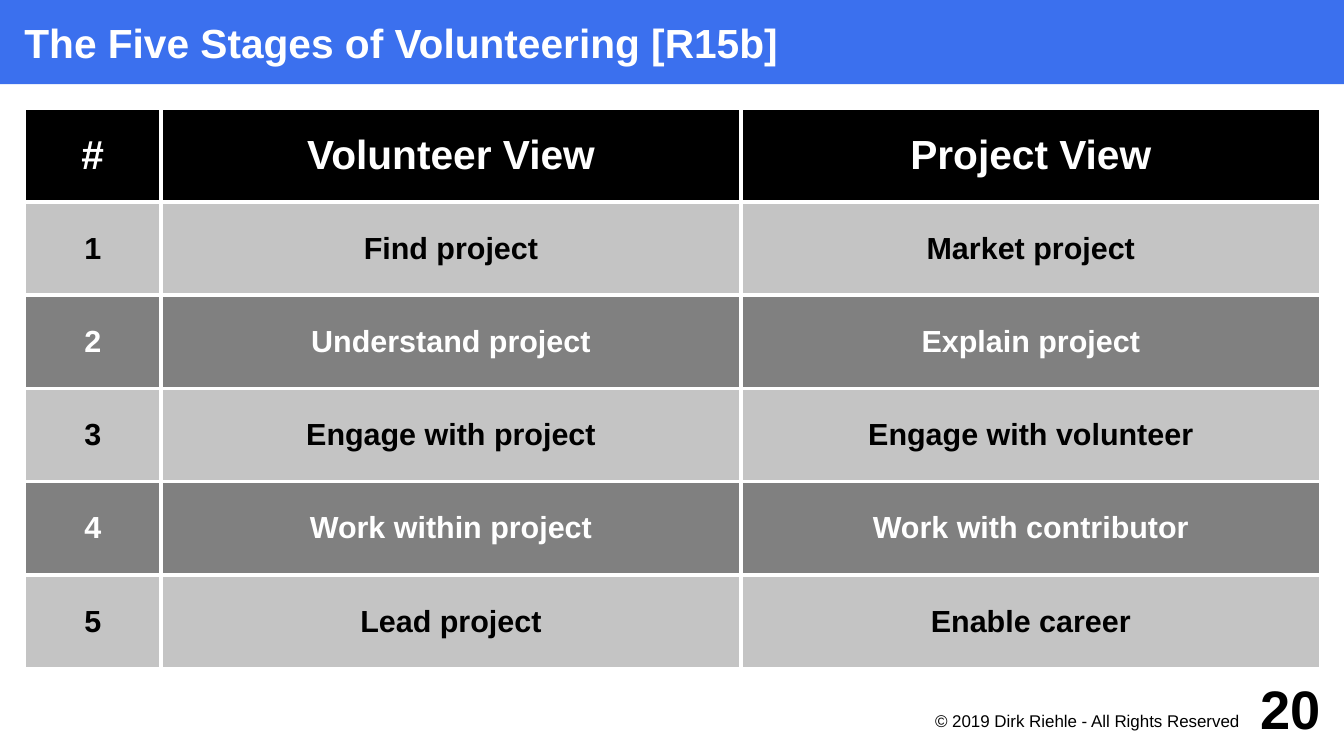
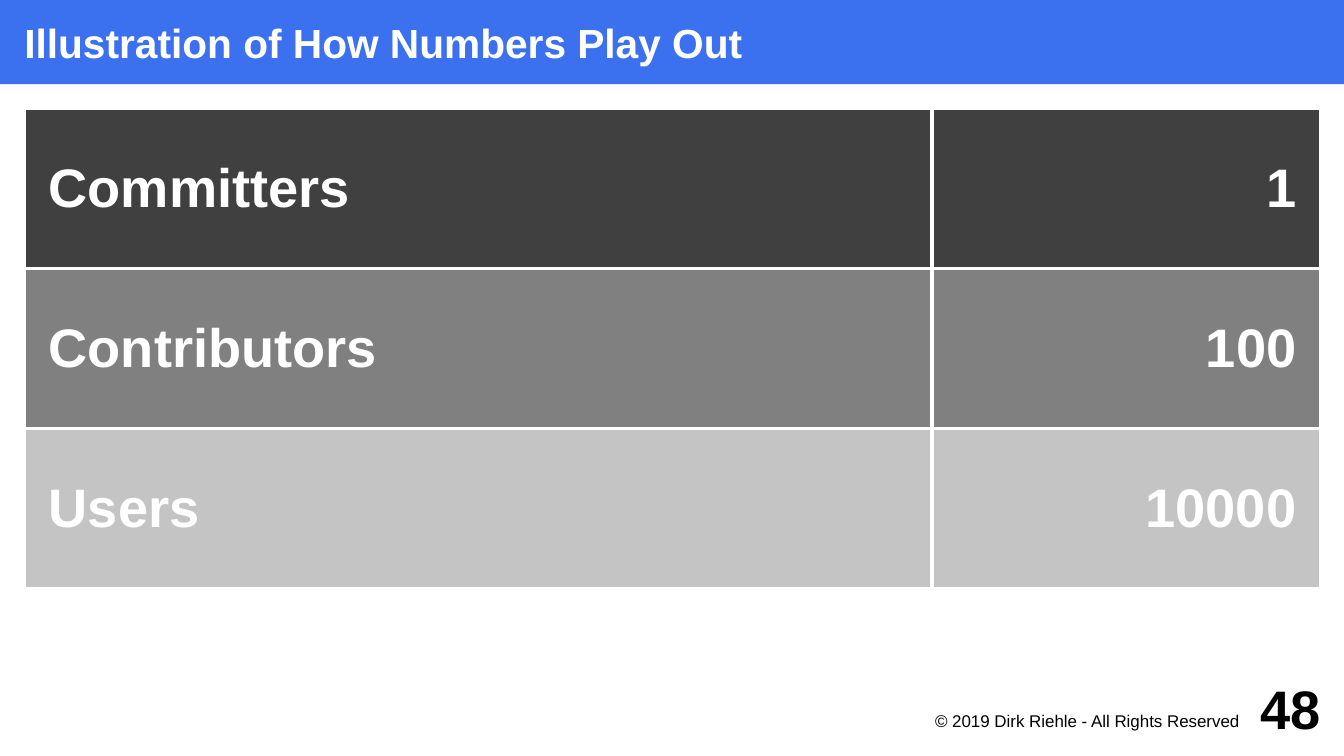
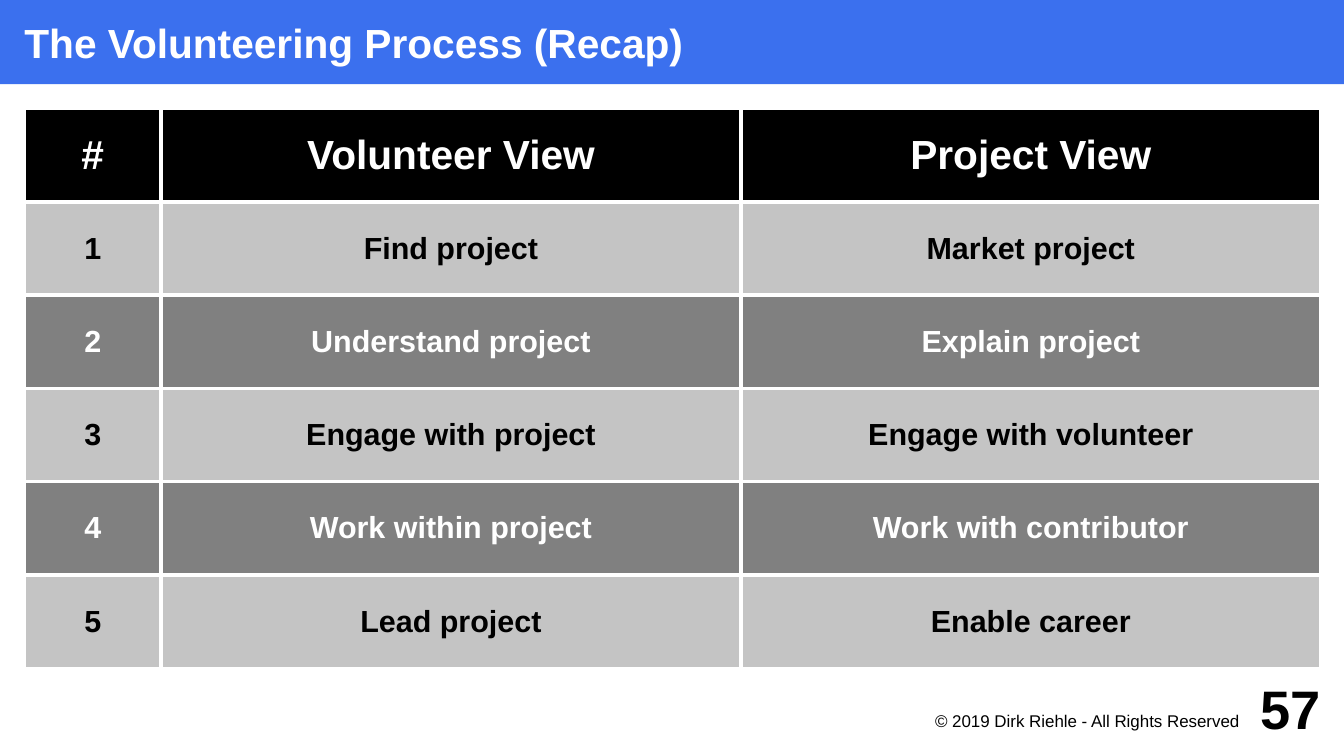
from pptx import Presentation
from pptx.dml.color import RGBColor
from pptx.enum.text import MSO_ANCHOR, MSO_AUTO_SIZE, PP_ALIGN
from pptx.oxml.ns import qn
from pptx.util import Inches, Pt
from lxml import etree

BLUE = RGBColor(0x3B, 0x70, 0xEE)
WHITE = RGBColor(0xFF, 0xFF, 0xFF)
BLACK = RGBColor(0x00, 0x00, 0x00)
DARK_GRAY = RGBColor(0x40, 0x40, 0x40)
MID_GRAY = RGBColor(0x80, 0x80, 0x80)
LIGHT_GRAY = RGBColor(0xC4, 0xC4, 0xC4)

LEFT, CENTER, RIGHT = PP_ALIGN.LEFT, PP_ALIGN.CENTER, PP_ALIGN.RIGHT
TOP, MIDDLE = MSO_ANCHOR.TOP, MSO_ANCHOR.MIDDLE
NO_AUTOFIT = MSO_AUTO_SIZE.NONE

FONT = "Arial"
BORDER_WIDTH = Pt(2.27)
TITLE_ONLY = 5
SLIDE_WIDTH, SLIDE_HEIGHT = 11.02, 6.2
TITLE_BOX = (0, 0, SLIDE_WIDTH, 0.69)
STAGES_BOX = (0.2, 0.89, 10.63, 4.59)
NUMBERS_BOX = (0.2, 0.89, 10.63, 3.94)
COPYRIGHT_BOX = (7.09, 5.81, 3.15, 0.3)
NUMBER_BOX = (10.04, 5.51, 0.79, 0.59)

COPYRIGHT = "© 2019 Dirk Riehle - All Rights Reserved"
STAGES = [
    ("#", "Volunteer View", "Project View"),
    ("1", "Find project", "Market project"),
    ("2", "Understand project", "Explain project"),
    ("3", "Engage with project", "Engage with volunteer"),
    ("4", "Work within project", "Work with contributor"),
    ("5", "Lead project", "Enable career"),
]
NUMBERS = [("Committers", "1"), ("Contributors", "100"), ("Users", "10000")]


def write(frame, text, size=24, color=BLACK, bold=True, align=LEFT):
    para = frame.paragraphs[0]
    para.alignment = align
    span = para.add_run()
    span.text = text
    span.font.name = FONT
    span.font.size = Pt(size)
    span.font.bold = bold
    span.font.color.rgb = color


def set_margins(target, left, top, right, bottom):
    target.margin_left = Inches(left)
    target.margin_top = Inches(top)
    target.margin_right = Inches(right)
    target.margin_bottom = Inches(bottom)


def prepare_frame(shape, margins, anchor):
    frame = shape.text_frame
    frame.word_wrap = True
    frame.auto_size = NO_AUTOFIT
    frame.vertical_anchor = anchor
    set_margins(frame, *margins)
    return frame


def add_title(page, box, text):
    title = page.shapes.title
    title.left, title.top, title.width, title.height = map(Inches, box)
    title.fill.solid()
    title.fill.fore_color.rgb = BLUE
    frame = prepare_frame(title, (0.2, 0, 0, 0), MIDDLE)
    write(frame, text, color=WHITE)


def add_label(page, box, text, margins=(0, 0, 0, 0), anchor=MIDDLE, **style):
    label = page.shapes.add_textbox(*map(Inches, box))
    write(prepare_frame(label, margins, anchor), text, align=RIGHT, **style)


def add_footer(page, number):
    add_label(page, COPYRIGHT_BOX, COPYRIGHT, margins=(0, 0.02, 0.08, 0),
              anchor=TOP, size=10, bold=False)
    add_label(page, NUMBER_BOX, number, size=32)


def set_borders(cell):
    properties = cell._tc.get_or_add_tcPr()
    for side in ("a:lnL", "a:lnR", "a:lnT", "a:lnB"):
        line = etree.SubElement(properties, qn(side), w=str(BORDER_WIDTH))
        fill = etree.SubElement(line, qn("a:solidFill"))
        etree.SubElement(fill, qn("a:srgbClr"), val=str(WHITE))


def add_grid(page, box, rows, shares, aligns, row_styles):
    left, top, width, height = box
    grid = page.shapes.add_table(len(rows), len(shares), *map(Inches, box)).table
    grid.first_row = grid.horz_banding = False
    for column, share in zip(grid.columns, shares):
        column.width = Inches(width * share / sum(shares))
    for row, texts, (fill, color, size) in zip(grid.rows, rows, row_styles):
        row.height = Inches(height / len(rows))
        for cell, text, align in zip(row.cells, texts, aligns):
            set_borders(cell)
            cell.fill.solid()
            cell.fill.fore_color.rgb = fill
            cell.vertical_anchor = MIDDLE
            set_margins(cell, 0.2, 0.05, 0.2, 0.05)
            write(cell.text_frame, text, size=size, color=color, align=align)


def add_stages(page, box):
    bands = [(LIGHT_GRAY, BLACK, 18), (MID_GRAY, WHITE, 18)]
    styles = [(BLACK, WHITE, 24)]
    styles += [bands[index % 2] for index in range(len(STAGES) - 1)]
    add_grid(page, box, STAGES, (1.12, 4.75, 4.75), (CENTER,) * 3, styles)


def add_numbers(page, box):
    styles = [(fill, WHITE, 32) for fill in (DARK_GRAY, MID_GRAY, LIGHT_GRAY)]
    add_grid(page, box, NUMBERS, (7, 3), (LEFT, RIGHT), styles)


def main():
    deck = Presentation()
    deck.slide_width = Inches(SLIDE_WIDTH)
    deck.slide_height = Inches(SLIDE_HEIGHT)
    pages = [
        ("The Five Stages of Volunteering [R15b]", "20", add_stages, STAGES_BOX),
        ("Illustration of How Numbers Play Out", "48", add_numbers, NUMBERS_BOX),
        ("The Volunteering Process (Recap)", "57", add_stages, STAGES_BOX),
    ]
    for title, number, add_content, box in pages:
        page = deck.slides.add_slide(deck.slide_layouts[TITLE_ONLY])
        add_title(page, TITLE_BOX, title)
        add_content(page, box)
        add_footer(page, number)
    deck.save("out.pptx")


if __name__ == "__main__":
    main()
